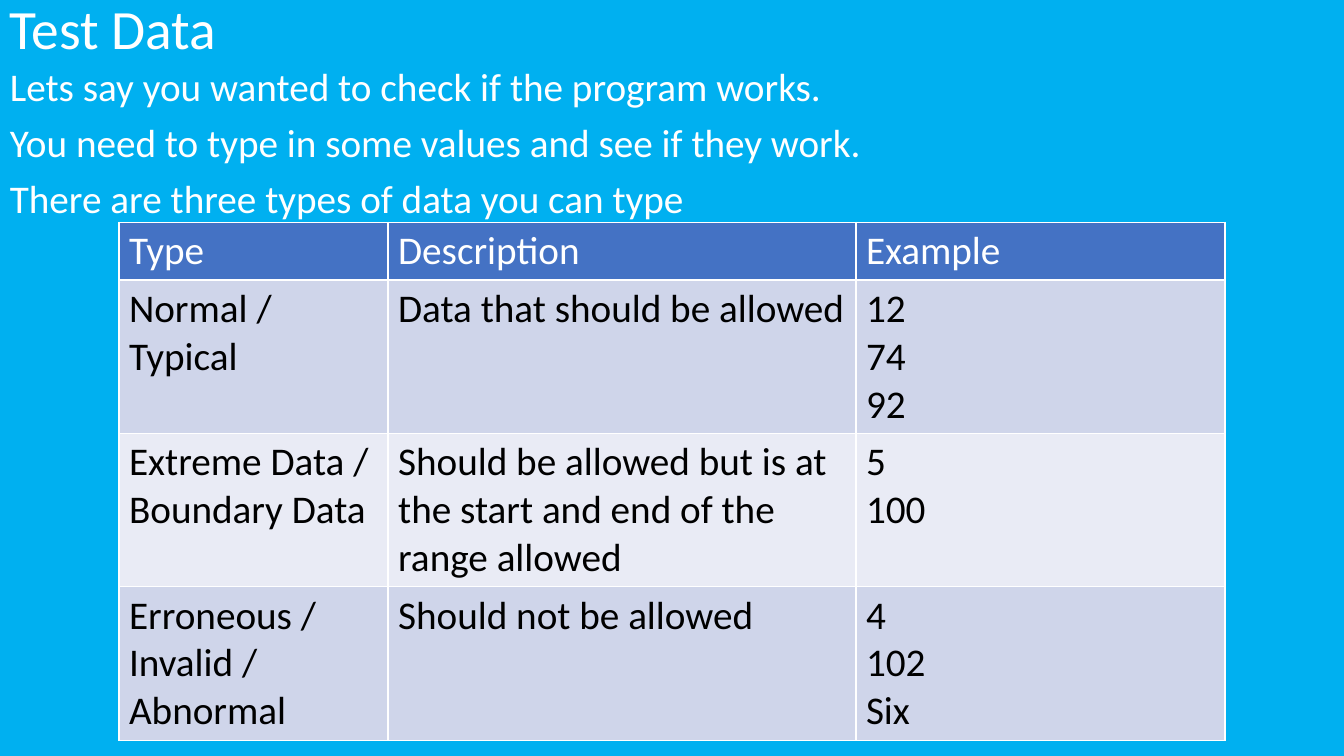
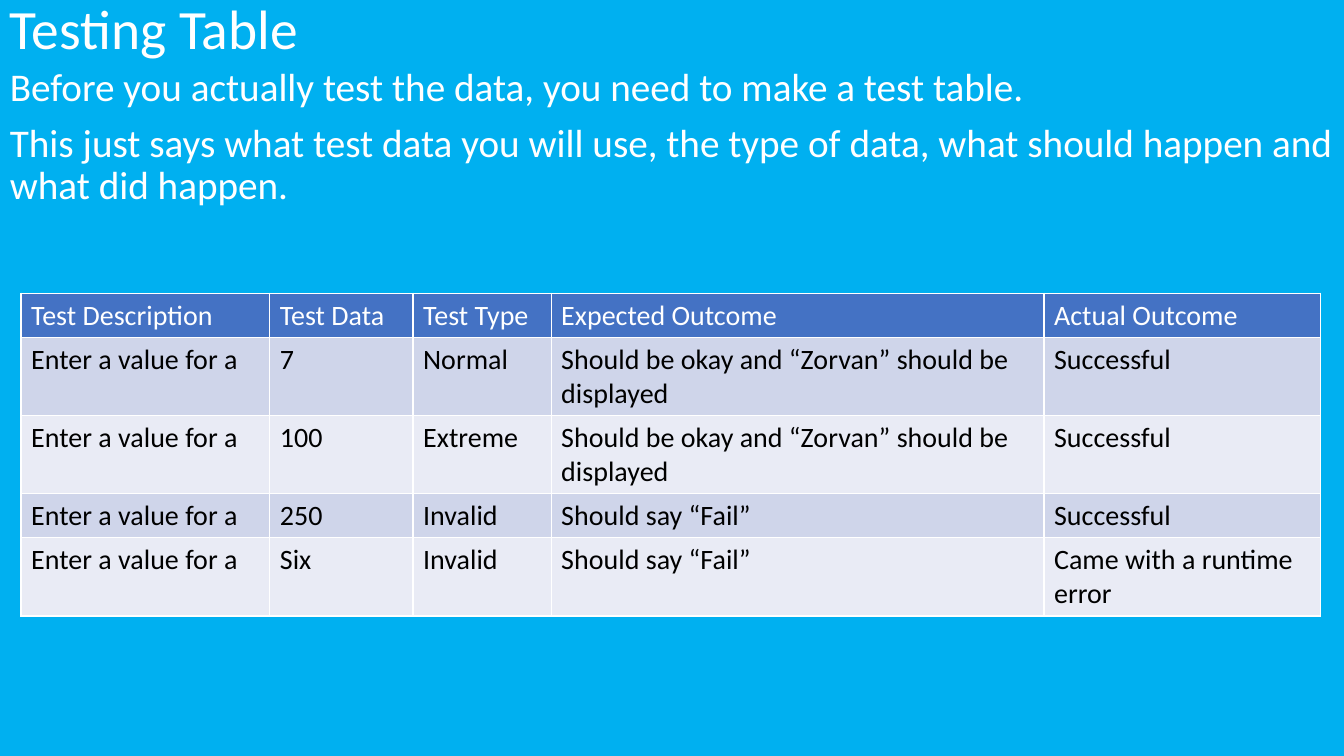
"""Build two slides on test data and testing tables."""
from lxml.etree import SubElement
from pptx import Presentation
from pptx.dml.color import RGBColor
from pptx.enum.text import MSO_ANCHOR as Anchor
from pptx.oxml.ns import qn
from pptx.util import Cm, Pt

COLOURS = {
    "background": "00B0F0",
    "light": "FFFFFF",
    "dark": "000000",
    "header": "4472C4",
    "odd": "CFD5EA",
    "even": "E9EBF5",
}
FONT = "Calibri"
TITLE_SIZE, BODY_SIZE = 39.6, 28
SLIDE_WIDTH, SLIDE_HEIGHT = Cm(33.87), Cm(19.05)
TITLE_HEIGHT = Cm(1.57)
LINE_HEIGHT = 1.22
CELL_PADDING = Cm(0.25)

SLIDES = [
    {
        "title": "Test Data",
        "body": [
            "Lets say you wanted to check if the program works.",
            "You need to type in some values and see if they work.",
            "There are three types of data you can type",
        ],
        "table": {
            "left": 3.0,
            "top": 5.6,
            "size": 28,
            "columns": [6.78, 11.79, 9.3],
            "row_lines": [1, 3, 3, 3],
            "rows": [
                ["Type", "Description", "Example"],
                ["Normal / Typical", "Data that should be allowed", "12\n74\n92"],
                ["Extreme Data / Boundary Data",
                 "Should be allowed but is at the start and end of the range allowed",
                 "5\n100"],
                ["Erroneous / Invalid / Abnormal", "Should not be allowed",
                 "4\n102\nSix"],
            ],
        },
    },
    {
        "title": "Testing Table",
        "body": [
            "Before you actually test the data, you need to make a test table.",
            "This just says what test data you will use, the type of data, "
            "what should happen and what did happen.",
        ],
        "table": {
            "left": 0.53,
            "top": 7.39,
            "size": 20,
            "columns": [6.27, 3.61, 3.48, 12.42, 6.96],
            "row_lines": [1, 2, 2, 1, 2],
            "rows": [
                ["Test Description", "Test Data", "Test Type",
                 "Expected Outcome", "Actual Outcome"],
                ["Enter a value for a", "7", "Normal",
                 "Should be okay and “Zorvan” should be displayed", "Successful"],
                ["Enter a value for a", "100", "Extreme",
                 "Should be okay and “Zorvan” should be displayed", "Successful"],
                ["Enter a value for a", "250", "Invalid",
                 "Should say “Fail”", "Successful"],
                ["Enter a value for a", "Six", "Invalid",
                 "Should say “Fail”", "Came with a runtime error"],
            ],
        },
    },
]


def colour(name):
    return RGBColor.from_string(COLOURS[name])


def write(frame, lines, size, ink, spacing=None, gap=0):
    for index, line in enumerate(lines):
        para = frame.add_paragraph() if index else frame.paragraphs[0]
        if spacing:
            para.line_spacing = spacing
        if index and gap:
            para.space_before = Pt(gap)
        span = para.add_run()
        span.text = line
        span.font.name = FONT
        span.font.size = Pt(size)
        span.font.color.rgb = colour(ink)


def add_text(page, top, height, lines, size, anchor):
    box = page.shapes.add_textbox(0, top, SLIDE_WIDTH, height)
    frame = box.text_frame
    frame.word_wrap = True
    frame.vertical_anchor = anchor
    write(frame, lines, size, "light", spacing=0.9, gap=10)


def add_borders(cell):
    properties = cell._tc.get_or_add_tcPr()
    for side in ("a:lnL", "a:lnR", "a:lnT", "a:lnB"):
        line = SubElement(properties, qn(side), w=str(Pt(1)))
        fill = SubElement(line, qn("a:solidFill"))
        SubElement(fill, qn("a:srgbClr"), val=COLOURS["light"])


def add_grid(page, content):
    size, rows = content["size"], content["rows"]
    widths = [Cm(width) for width in content["columns"]]
    heights = [CELL_PADDING + Pt(size * LINE_HEIGHT * lines)
               for lines in content["row_lines"]]
    table = page.shapes.add_table(
        len(rows), len(widths), Cm(content["left"]), Cm(content["top"]),
        sum(widths), sum(heights)).table
    for column, width in zip(table.columns, widths):
        column.width = width
    for number, (row, height, texts) in enumerate(zip(table.rows, heights, rows)):
        row.height = height
        band = ("odd" if number % 2 else "even") if number else "header"
        for cell, text in zip(row.cells, texts):
            add_borders(cell)
            cell.fill.solid()
            cell.fill.fore_color.rgb = colour(band)
            write(cell.text_frame, text.split("\n"), size,
                  "dark" if number else "light")


def main():
    deck = Presentation()
    deck.slide_width, deck.slide_height = SLIDE_WIDTH, SLIDE_HEIGHT
    backdrop = deck.slide_master.background.fill
    backdrop.solid()
    backdrop.fore_color.rgb = colour("background")
    for content in SLIDES:
        page = deck.slides.add_slide(deck.slide_layouts[6])
        add_text(page, 0, TITLE_HEIGHT, [content["title"]], TITLE_SIZE, Anchor.MIDDLE)
        add_text(page, TITLE_HEIGHT, SLIDE_HEIGHT - TITLE_HEIGHT, content["body"],
                 BODY_SIZE, Anchor.TOP)
        add_grid(page, content["table"])
    deck.save("out.pptx")


if __name__ == "__main__":
    main()
